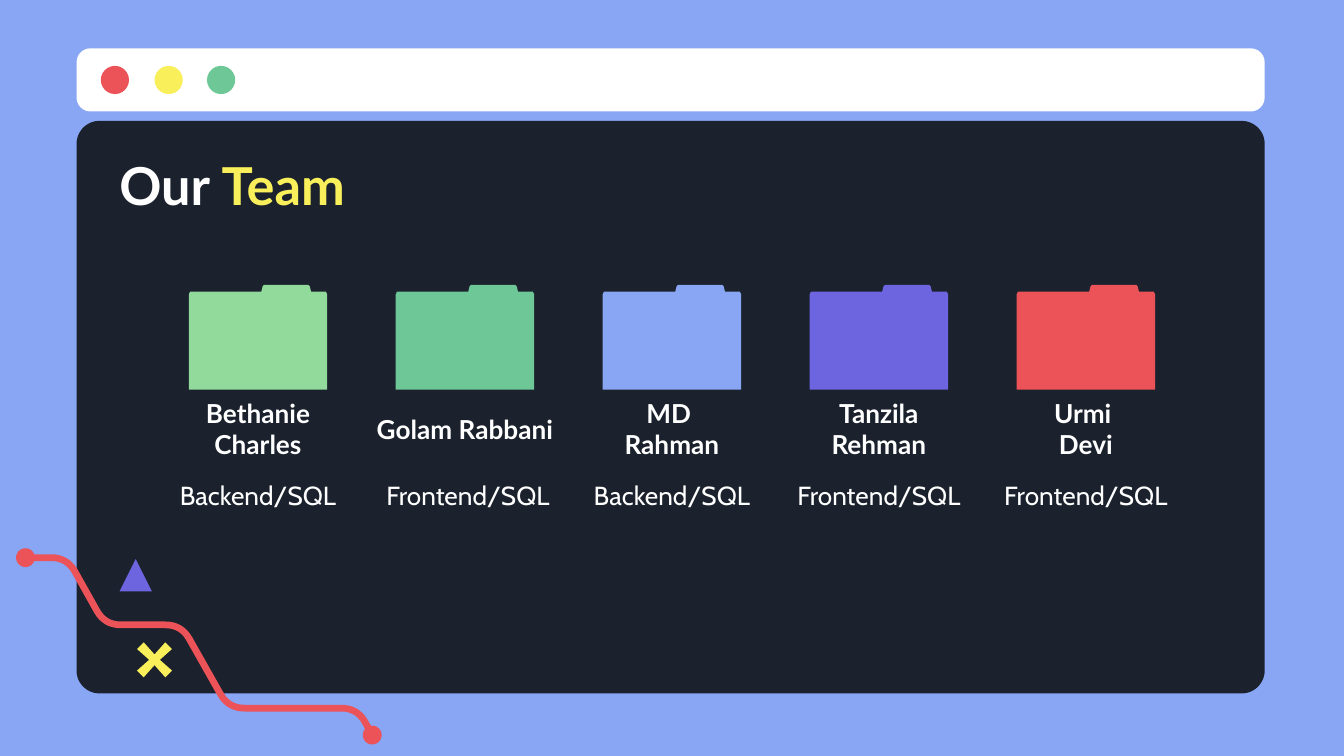
from dataclasses import dataclass
from math import asin, atan2, cos, hypot, pi, sin

from pptx import Presentation
from pptx.dml.color import RGBColor
from pptx.enum import shapes, text
from pptx.util import Inches, Pt

Point = tuple[float, float]
Box = tuple[float, float, float, float]


@dataclass(frozen=True)
class Theme:
    white: str = "FFFFFF"
    navy: str = "1B222D"
    sky: str = "88A6F3"
    red: str = "EB5358"
    yellow: str = "F8EF5B"
    green: str = "6DC797"
    lime: str = "92D99C"
    violet: str = "6D65E0"
    head_font: str = "Lato"
    body_font: str = "Cabin"
    title_size: int = 28
    body_size: int = 14


@dataclass(frozen=True)
class Member:
    name: str
    role: str
    color: str


T = Theme()
TEAM = [
    Member("Bethanie Charles", "Backend/SQL", T.lime),
    Member("Golam Rabbani", " Frontend/SQL", T.green),
    Member("MD \nRahman", "Backend/SQL", T.sky),
    Member("Tanzila Rehman", "Frontend/SQL", T.violet),
    Member("Urmi \nDevi", "Frontend/SQL", T.red),
]
TEAM_LEFT, COLUMN = 1.15, 1.54
FOLDER_W, NAME_W = 1.03, 1.53
FOLDER_TOP = 2.12
# Outline from the folder's top left corner
FOLDER = [(0, 0.78), (0, 0.07), (0.01, 0.05), (0.54, 0.05), (0.55, 0.01),
          (0.56, 0), (0.89, 0), (0.9, 0.01), (0.91, 0.05), (1.02, 0.05),
          (1.03, 0.07), (1.03, 0.78)]
WIRE = [(0.19, 4.15), (0.5, 4.15), (0.78, 4.65), (1.35, 4.65),
        (1.7, 5.27), (2.66, 5.27), (2.77, 5.47)]
WIRE_WIDTH, KNOB, BEND = 0.05, 0.07, 0.12


def paint(sp, color: str) -> None:
    sp.fill.solid()
    sp.fill.fore_color.rgb = RGBColor.from_string(color)
    sp.line.fill.background()
    sp.shadow.inherit = False


def add_preset(s, kind, box: Box, color: str):
    sp = s.shapes.add_shape(kind, *map(Inches, box))
    paint(sp, color)
    return sp


def add_outline(s, points: list[Point], color: str) -> None:
    pts = [(Inches(x), Inches(y)) for x, y in points]
    builder = s.shapes.build_freeform(*pts[0])
    builder.add_line_segments(pts[1:], close=True)
    paint(builder.convert_to_shape(), color)


def style(r, font: str, size: int, color: str, bold: bool = False) -> None:
    r.font.name, r.font.size, r.font.bold = font, Pt(size), bold
    r.font.color.rgb = RGBColor.from_string(color)


def add_text(s, box: Box, anchor):
    """Add an empty wrapping text box and return its text frame."""
    tf = s.shapes.add_textbox(*map(Inches, box)).text_frame
    tf.word_wrap = True
    tf.vertical_anchor = anchor
    tf.margin_left = tf.margin_right = Inches(0.1)
    tf.margin_top = tf.margin_bottom = Inches(0.1)
    return tf


def add_label(s, box: Box, words: str, anchor, font: str, bold: bool = False, after: int = 0) -> None:
    tf = add_text(s, box, anchor)
    tf.text = words
    for p in tf.paragraphs:
        p.alignment = text.PP_ALIGN.CENTER
        p.space_after = Pt(after)
        for r in p.runs:
            style(r, font, T.body_size, T.white, bold)


def add_window(s) -> None:
    for top, height, radius, color in [(0.36, 0.47, 0.22, T.white), (0.9, 4.26, 0.04, T.navy)]:
        sp = add_preset(s, shapes.MSO_SHAPE.ROUNDED_RECTANGLE, (0.57, top, 8.84, height), color)
        sp.adjustments[0] = radius
    for left, color in [(0.75, T.red), (1.15, T.yellow), (1.54, T.green)]:
        add_preset(s, shapes.MSO_SHAPE.OVAL, (left, 0.49, 0.21, 0.21), color)


def add_title(s) -> None:
    tf = add_text(s, (0.79, 1.06, 8.43, 0.62), text.MSO_ANCHOR.MIDDLE)
    for words, color in [("Our ", T.white), ("Team", T.yellow)]:
        r = tf.paragraphs[0].add_run()
        r.text = words
        style(r, T.head_font, T.title_size, color, bold=True)


def add_member(s, left: float, member: Member) -> None:
    folder_left = left + (COLUMN - FOLDER_W) / 2
    add_label(s, (left, 3.47, COLUMN, 1.06), member.role,
              text.MSO_ANCHOR.TOP, T.body_font, after=16)
    add_label(s, (left + (COLUMN - NAME_W) / 2, 2.9, NAME_W, 0.58), member.name,
              text.MSO_ANCHOR.MIDDLE, T.head_font, bold=True)
    add_outline(s, [(folder_left + x, FOLDER_TOP + y) for x, y in FOLDER], member.color)


def toward(a: Point, b: Point, distance: float) -> Point:
    k = distance / hypot(b[0] - a[0], b[1] - a[1])
    return a[0] + k * (b[0] - a[0]), a[1] + k * (b[1] - a[1])


def angle(a: Point, b: Point) -> float:
    return atan2(b[1] - a[1], b[0] - a[0])


def round_corners(route: list[Point], steps: int = 8) -> list[Point]:
    """Replace each inner corner by a quadratic curve."""
    line = [toward(route[0], route[1], KNOB)]
    for before, corner, after in zip(route, route[1:], route[2:]):
        a, b = toward(corner, before, BEND), toward(corner, after, BEND)
        for t in (i / steps for i in range(steps + 1)):
            weights = ((1 - t) ** 2, 2 * t * (1 - t), t * t)
            line.append(tuple(sum(w * p[axis] for w, p in zip(weights, (a, corner, b)))
                              for axis in (0, 1)))
    return line + [toward(route[-1], route[-2], KNOB)]


def wire_side(line: list[Point], offset: float) -> list[Point]:
    side = []
    for i, (x, y) in enumerate(line):
        a = angle(line[max(i - 1, 0)], line[min(i + 1, len(line) - 1)])
        side.append((x - offset * sin(a), y + offset * cos(a)))
    return side


def knob(center: Point, neck: float, steps: int = 24) -> list[Point]:
    """Arc around a wire end, open where the wire meets it at angle neck."""
    gap = asin(WIRE_WIDTH / 2 / KNOB)
    angles = [neck - gap - (2 * pi - 2 * gap) * i / steps for i in range(steps + 1)]
    return [(center[0] + KNOB * cos(a), center[1] + KNOB * sin(a)) for a in angles]


def add_wire(s) -> None:
    line = round_corners(WIRE)
    add_outline(s, wire_side(line, WIRE_WIDTH / 2)
                + knob(WIRE[-1], angle(WIRE[-1], WIRE[-2]))
                + wire_side(line, -WIRE_WIDTH / 2)[::-1]
                + knob(WIRE[0], angle(WIRE[0], WIRE[1])), T.red)


def add_cross(s, cx: float, cy: float) -> None:
    points = []
    x_axis, y_axis = 1, 0
    for _ in range(4):
        for x, y in [(0, -0.04), (0.08, -0.13), (0.13, -0.08)]:
            points.append((cx + x * x_axis - y * y_axis, cy + x * y_axis + y * x_axis))
        x_axis, y_axis = -y_axis, x_axis
    add_outline(s, points, T.yellow)


def main() -> None:
    prs = Presentation()
    prs.slide_width, prs.slide_height = Inches(10), Inches(10 * 9 / 16)
    s = prs.slides.add_slide(prs.slide_layouts[6])
    s.background.fill.solid()
    s.background.fill.fore_color.rgb = RGBColor.from_string(T.sky)
    add_window(s)
    add_title(s)
    add_wire(s)
    add_preset(s, shapes.MSO_SHAPE.ISOSCELES_TRIANGLE, (0.89, 4.16, 0.24, 0.24), T.violet)
    add_cross(s, 1.15, 4.91)
    for i, member in enumerate(TEAM):
        add_member(s, TEAM_LEFT + COLUMN * i, member)
    prs.save("out.pptx")


if __name__ == "__main__":
    main()
